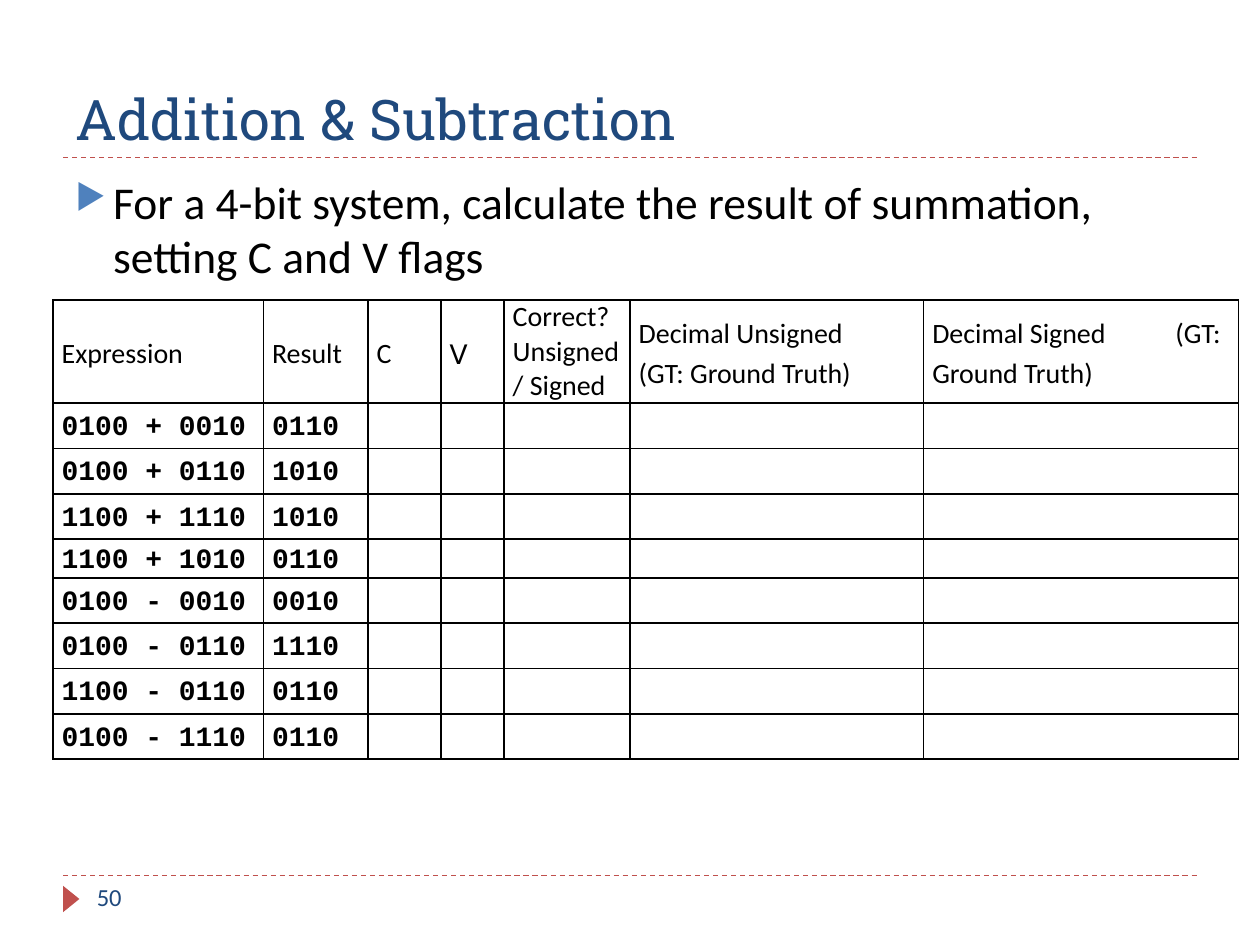
from lxml import etree
from pptx import Presentation
from pptx.dml.color import RGBColor
from pptx.enum import dml, shapes, text
from pptx.oxml import ns
from pptx.util import Inches, Pt

COLORS = {"navy": "1F497D", "red": "C0504D", "blue": "4F81BD",
          "black": "000000", "white": "FFFFFF"}
BODY, CODE = "Calibri", "Courier New"

TITLE = "Addition & Subtraction"
TASK = "For a 4-bit system, calculate the result of summation, setting C and V flags"
PAGE = "50"
HEADERS = ["Expression", "Result", "C", "V", "Correct? Unsigned/ Signed",
           "Decimal Unsigned\v(GT: Ground Truth)",
           "Decimal Signed\t(GT: Ground Truth)"]
SUMS = [("0100 + 0010", "0110"), ("0100 + 0110", "1010"),
        ("1100 + 1110", "1010"), ("1100 + 1010", "0110"),
        ("0100 - 0010", "0010"), ("0100 - 0110", "1110"),
        ("1100 - 0110", "0110"), ("0100 - 1110", "0110")]
COLUMN_WIDTHS = [1.67, 0.83, 0.58, 0.5, 1, 2.33, 2.5]
ROW_HEIGHTS = [0.82] + [0.36] * 3 + [0.3] + [0.36] * 4
TABLE_LEFT, TABLE_TOP = 0.42, 2.38
RULE_LEFT, RULE_RIGHT, RULE_TOPS = 0.5, 9.5, (6.95, 1.25)


def rgb(name):
    return RGBColor.from_string(COLORS[name])


def add_element(parent, tag, **attributes):
    return etree.SubElement(parent, ns.qn(tag), attributes)


def style_runs(paragraph, size, font="Calibri", color="black", bold=False):
    for run in paragraph.runs:
        run.font.size, run.font.name, run.font.bold = Pt(size), font, bold
        run.font.color.rgb = rgb(color)


def add_text(slide, box, content, size, font=BODY, color="black",
             anchor=text.MSO_ANCHOR.TOP):
    frame = slide.shapes.add_textbox(*map(Inches, box)).text_frame
    frame.word_wrap = True
    frame.vertical_anchor = anchor
    frame.text = content
    style_runs(frame.paragraphs[0], size, font, color)
    return frame.paragraphs[0]


def add_rule(slide, top):
    rule = slide.shapes.add_connector(
        shapes.MSO_CONNECTOR.STRAIGHT, Inches(RULE_LEFT), Inches(top),
        Inches(RULE_RIGHT), Inches(top))
    rule.line.color.rgb = rgb("red")
    rule.line.width = Pt(0.75)
    rule.line.dash_style = dml.MSO_LINE.DASH
    add_element(rule._element.spPr, "a:effectLst")


def add_bullet(paragraph):
    properties = paragraph._p.get_or_add_pPr()
    properties.set("marL", str(Inches(0.3)))
    properties.set("indent", str(-Inches(0.3)))
    color = add_element(properties, "a:buClr")
    add_element(color, "a:srgbClr", val=COLORS["blue"])
    add_element(properties, "a:buSzPct", val="76000")
    add_element(properties, "a:buChar", char="▶")


def format_cell(cell):
    """Give a cell its insets, black borders and white fill."""
    cell.margin_left = cell.margin_right = Inches(0.07)
    cell.margin_top = cell.margin_bottom = 0
    cell.vertical_anchor = text.MSO_ANCHOR.MIDDLE
    properties = cell._tc.get_or_add_tcPr()
    for side in ("a:lnL", "a:lnR", "a:lnT", "a:lnB"):
        border = add_element(properties, side, w=str(Pt(1)))
        fill = add_element(border, "a:solidFill")
        add_element(fill, "a:srgbClr", val=COLORS["black"])
    cell.fill.solid()
    cell.fill.fore_color.rgb = rgb("white")


def add_sums_table(slide):
    rows = [HEADERS] + [
        [*pair] + [""] * (len(HEADERS) - len(pair)) for pair in SUMS]
    table = slide.shapes.add_table(
        len(rows), len(HEADERS), Inches(TABLE_LEFT), Inches(TABLE_TOP),
        Inches(sum(COLUMN_WIDTHS)), Inches(sum(ROW_HEIGHTS))).table
    for column, width in zip(table.columns, COLUMN_WIDTHS):
        column.width = Inches(width)
    for row, height in zip(table.rows, ROW_HEIGHTS):
        row.height = Inches(height)
    for r, values in enumerate(rows):
        for c, value in enumerate(values):
            cell = table.cell(r, c)
            format_cell(cell)
            if not value:
                continue
            cell.text_frame.text = value
            paragraph = cell.text_frame.paragraphs[0]
            if "\t" in value:
                tabs = add_element(paragraph._p.get_or_add_pPr(), "a:tabLst")
                add_element(tabs, "a:tab", pos=str(Inches(1.93)), algn="l")
            paragraph.line_spacing = 1 if value.startswith("Correct") else 1.15
            font = CODE if r else "Cabin" if value == "V" else BODY
            style_runs(paragraph, 16, font, bold=r > 0)


def main():
    deck = Presentation()
    deck.slide_width, deck.slide_height = Inches(10), Inches(7.5)
    slide = deck.slides.add_slide(deck.slide_layouts[6])

    for top in RULE_TOPS:
        add_rule(slide, top)
    page_marker = slide.shapes.add_shape(
        shapes.MSO_SHAPE.ISOSCELES_TRIANGLE,
        *map(Inches, (0.46, 7.07, 0.21, 0.13)))
    page_marker.rotation = 90
    page_marker.shadow.inherit = False
    page_marker.fill.solid()
    page_marker.fill.fore_color.rgb = rgb("red")
    page_marker.line.fill.background()

    add_text(slide, (0.5, 0.17, 9, 1.08), TITLE, 32, "Roboto Slab", "navy",
             text.MSO_ANCHOR.BOTTOM)
    add_text(slide, (0.67, 6.95, 2.17, 0.4), PAGE, 14, color="navy")
    add_bullet(add_text(slide, (0.5, 1.33, 9, 5.4), TASK, 26))
    add_sums_table(slide)
    deck.save("out.pptx")


if __name__ == "__main__":
    main()
